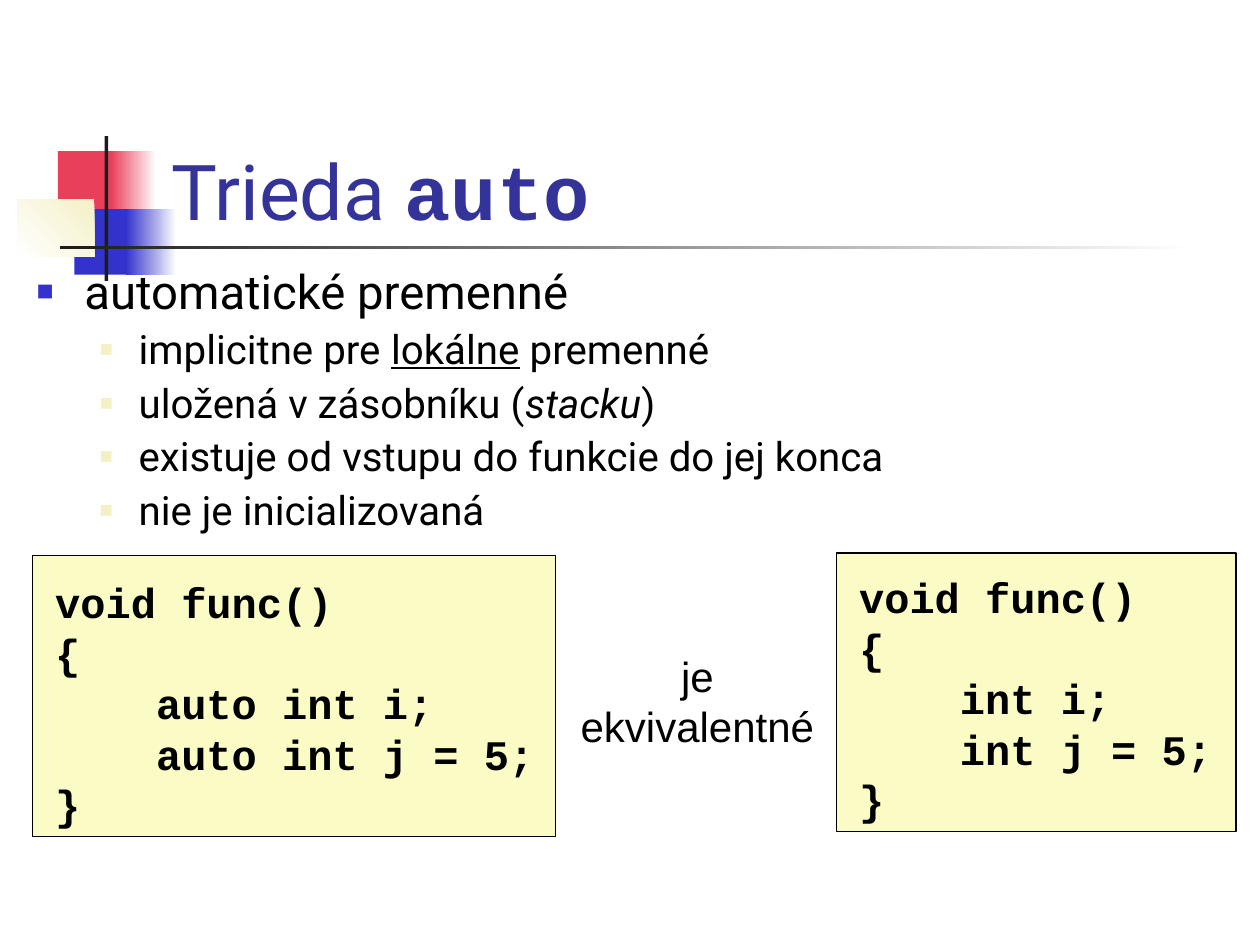
from lxml import etree
from pptx import Presentation
from pptx.dml.color import RGBColor
from pptx.enum.shapes import MSO_SHAPE
from pptx.enum.text import MSO_ANCHOR, MSO_AUTO_SIZE, PP_ALIGN
from pptx.oxml.ns import qn
from pptx.util import Inches, Pt

RECT = MSO_SHAPE.RECTANGLE
LEFT, MID = PP_ALIGN.LEFT, PP_ALIGN.CENTER
LOW, TOP = MSO_ANCHOR.BOTTOM, MSO_ANCHOR.TOP
FIXED = MSO_AUTO_SIZE.NONE

WHITE = RGBColor(0xFF, 0xFF, 0xFF)
BLACK = RGBColor(0, 0, 0)
RED = RGBColor(0xE9, 0x3F, 0x5B)
BLUE = RGBColor(0x33, 0x33, 0xCC)
CREAM = RGBColor(0xF4, 0xF0, 0xC6)
DARK = RGBColor(0x1C, 0x1C, 0x1C)
NAVY = RGBColor(0x33, 0x33, 0x99)
PALE = RGBColor(0xFB, 0xFB, 0xC5)

SANS, MONO, PLAIN = "Roboto", "Courier New", "Arial"
WIDE, HIGH = Inches(10), Inches(7.5)

# Boxes are left, top, width, height in percent of the slide.
# Decor: box, colours (two make a gradient), gradient angle
DECOR = [
    ((4.6, 16, 4.8, 6.93), [RED], 0),
    ((8.8, 16, 3.6, 6.93), [WHITE, RED], 180),
    ((5.9, 22.13, 4.6, 6.93), [BLUE], 0),
    ((10, 22.13, 4, 6.93), [WHITE, BLUE], 180),
    ((1.4, 21.07, 6.1, 6.13), [CREAM, WHITE], 225),
    ((8.3, 14.4, 0.3, 15.33), [DARK], 0),
    ((4.8, 26, 90, 0.4), [WHITE, DARK], 180),
]

# Bullet levels: size, text indent, hang, space before, mark colour, mark size
LEVELS = [
    (27, 0.38, 0.38, 6.8, BLUE, 60),
    (23, 0.81, 0.31, 5.8, CREAM, 55),
]

# List: level, runs of text and style
ITEMS = [
    (0, [("automatické premenné", "")]),
    (1, [("implicitne pre ", ""), ("lokálne", "u"), (" premenné", "")]),
    (1, [("uložená v zásobníku (", ""), ("stacku", "i"), (")", "")]),
    (1, [("existuje od vstupu do funkcie do jej konca", "")]),
    (1, [("nie je inicializovaná", "")]),
]


def place(box):
    x, y, w, h = box
    return [int(n) for n in (WIDE * x / 100, HIGH * y / 100,
                             WIDE * w / 100, HIGH * h / 100)]


def move(shape, box):
    shape.left, shape.top, shape.width, shape.height = place(box)


def add_run(para, text, size, face, color, style=""):
    run = para.add_run()
    run.text = text
    font = run.font
    font.size, font.name = Pt(size), face
    font.color.rgb = color
    if "b" in style:
        font.bold = True
    if "i" in style:
        font.italic = True
    if "u" in style:
        font.underline = True


def add_rect(slide, box, colors, angle=0, edge=None):
    shape = slide.shapes.add_shape(RECT, *place(box))
    shape.shadow.inherit = False
    if len(colors) == 1:
        shape.fill.solid()
        shape.fill.fore_color.rgb = colors[0]
    else:
        shape.fill.gradient()
        shape.fill.gradient_angle = angle
        for stop, color in zip(shape.fill.gradient_stops, colors):
            stop.color.rgb = color
    if edge is None:
        shape.line.fill.background()
    else:
        shape.line.color.rgb = edge
        shape.line.width = Pt(0.75)


def add_text(slide, box, lines, face, style="", align=LEFT):
    frame = slide.shapes.add_textbox(*place(box)).text_frame
    frame.word_wrap = False
    for i, line in enumerate(lines):
        para = frame.add_paragraph() if i else frame.paragraphs[0]
        para.alignment = align
        para.line_spacing = Pt(28.8)
        add_run(para, line, 24, face, BLACK, style)


def add_code(slide, box, inner, lines):
    add_rect(slide, box, [PALE], edge=BLACK)
    add_text(slide, inner, lines, MONO, "b")


def set_mark(para, indent, hang, color, share):
    props = para._p.get_or_add_pPr()
    props.set("marL", str(Inches(indent)))
    props.set("indent", str(-Inches(hang)))
    tint = etree.SubElement(props, qn("a:buClr"))
    etree.SubElement(tint, qn("a:srgbClr"), val=str(color))
    etree.SubElement(props, qn("a:buSzPct"), val=str(share * 1000))
    etree.SubElement(props, qn("a:buFont"), typeface=PLAIN)
    etree.SubElement(props, qn("a:buChar"), char="■")


def fill_title(title):
    move(title, (12.6, 8.93, 85.2, 16.67))
    frame = title.text_frame
    frame.auto_size, frame.vertical_anchor = FIXED, LOW
    para = frame.paragraphs[0]
    para.alignment = LEFT
    add_run(para, "Trieda ", 44, SANS, NAVY)
    add_run(para, "auto", 44, MONO, NAVY, "b")


def fill_list(body):
    move(body, (1.9, 27.73, 96.1, 31.07))
    frame = body.text_frame
    frame.auto_size, frame.vertical_anchor = FIXED, TOP
    for i, (level, runs) in enumerate(ITEMS):
        size, indent, hang, gap, color, share = LEVELS[level]
        para = frame.add_paragraph() if i else frame.paragraphs[0]
        set_mark(para, indent, hang, color, share)
        para.level = level
        para.line_spacing = 0.9
        para.space_before = Pt(gap if i else 0)
        for text, style in runs:
            add_run(para, text, size, SANS, BLACK, style)


def main():
    deck = Presentation()
    deck.slide_width, deck.slide_height = WIDE, HIGH
    slide = deck.slides.add_slide(deck.slide_layouts[1])
    title, body = slide.placeholders

    # Decor goes behind the title and the list
    for box, colors, angle in DECOR:
        add_rect(slide, box, colors, angle)
    for holder in (title, body):
        slide.shapes._spTree.append(holder._element)
    fill_title(title)
    fill_list(body)

    # Two equal pieces of code with a label between them
    add_code(slide, (2.6, 58.8, 41.5, 29.73), (3.4, 60.4, 40, 28),
             ["void func()", "{", "    auto int i;", "    auto int j = 5;", "}"])
    add_text(slide, (45.1, 68.13, 20.5, 12), ["je", "ekvivalentné"],
             PLAIN, align=MID)
    add_code(slide, (66.4, 58.53, 31.7, 29.47), (67.2, 59.87, 30, 28),
             ["void func()", "{", "    int i;", "    int j = 5;", "}"])
    deck.save("out.pptx")


if __name__ == "__main__":
    main()
